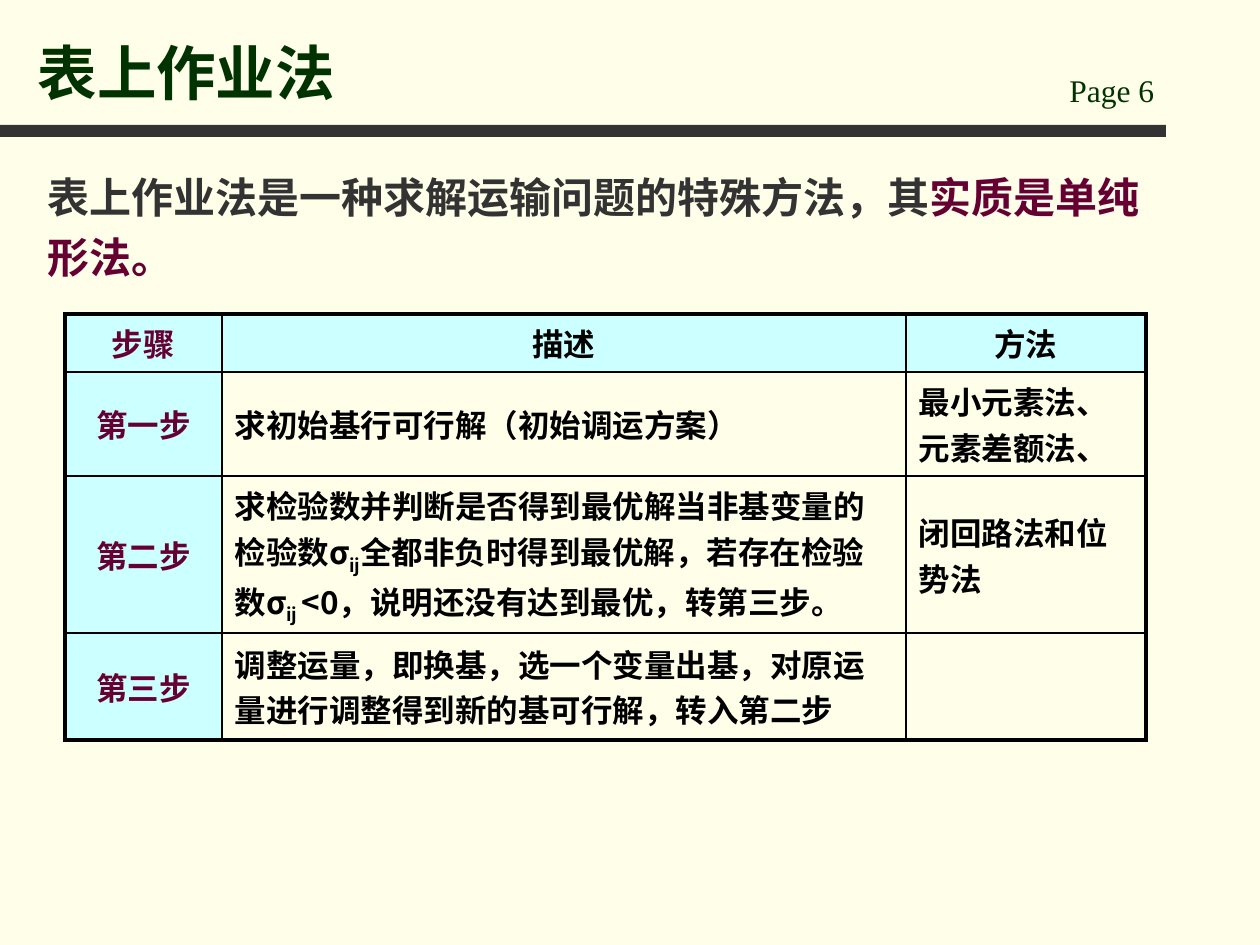
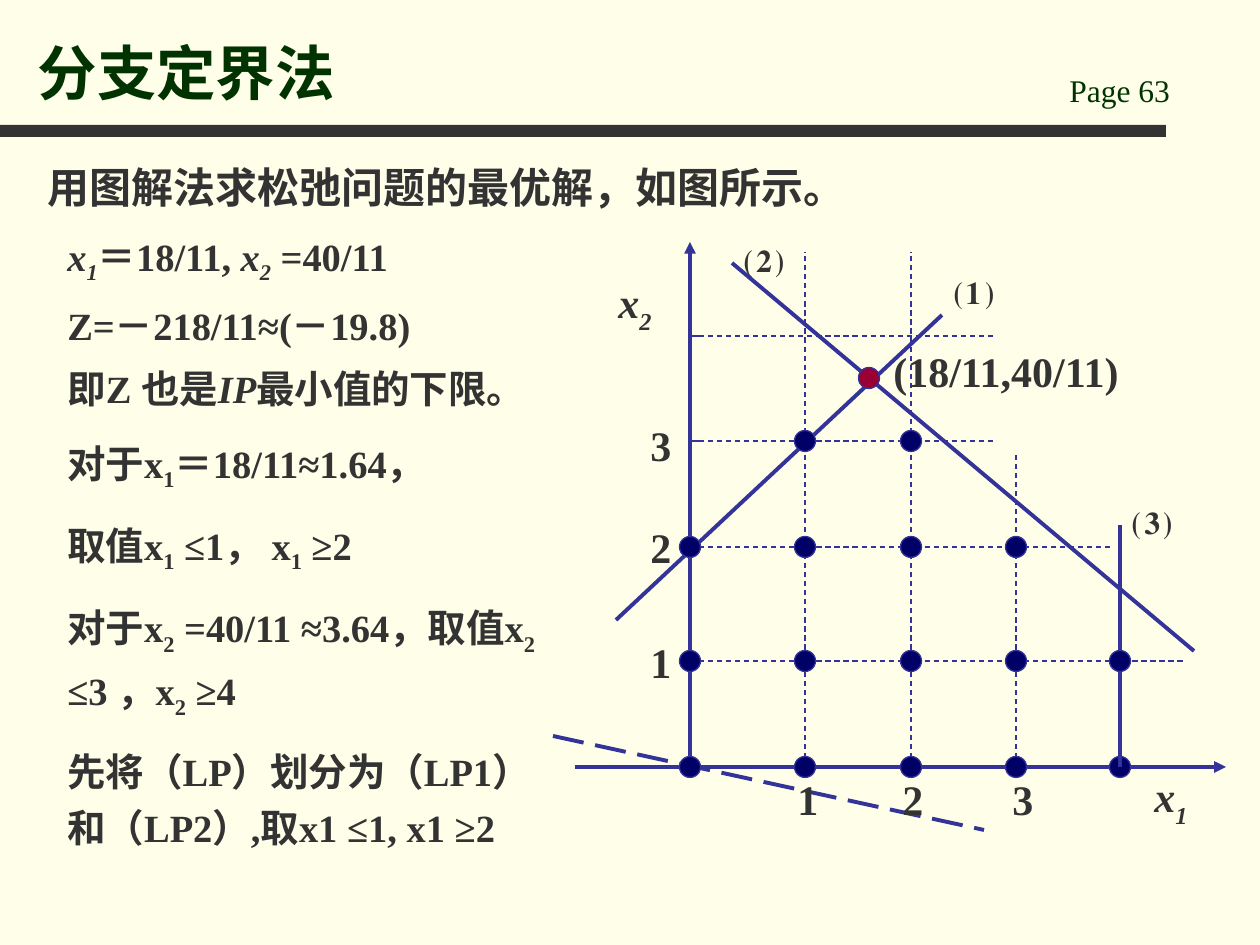
"""Build two operations-research slides: the tableau method and branch and bound."""
from lxml import etree
from pptx import Presentation
from pptx.dml.color import RGBColor
from pptx.enum.dml import MSO_LINE
from pptx.enum.shapes import MSO_CONNECTOR, MSO_SHAPE
from pptx.enum.text import MSO_ANCHOR, MSO_AUTO_SIZE, PP_ALIGN
from pptx.oxml.ns import qn
from pptx.util import Emu, Pt

SCALE = 914400 / 126
STRAIGHT = MSO_CONNECTOR.STRAIGHT
RECT, OVAL = MSO_SHAPE.RECTANGLE, MSO_SHAPE.OVAL
DASH, LONG_DASH = MSO_LINE.DASH, MSO_LINE.LONG_DASH
LEFT, CENTER = PP_ALIGN.LEFT, PP_ALIGN.CENTER
MIDDLE, BOTTOM = MSO_ANCHOR.MIDDLE, MSO_ANCHOR.BOTTOM
FIXED, GROW = MSO_AUTO_SIZE.NONE, MSO_AUTO_SIZE.SHAPE_TO_FIT_TEXT

SERIF, SANS = "Times New Roman", "Noto Sans CJK SC"
CREAM, GREEN, GRAY, WINE = "FFFFE9", "003300", "333333", "660033"
BLACK, CYAN, INDIGO, NAVY, RED = "000000", "CCFFFF", "333399", "000066", "990033"
BASELINES = {"s": "-25000", "d": "-30000"}


def px(n):
    return Emu(round(n * SCALE))


def rgb(value):
    return RGBColor.from_string(value)


class Deck:
    """Hold the shared style and the current slide."""

    def __init__(self):
        self.prs = Presentation()
        self.prs.slide_width, self.prs.slide_height = px(1260), px(945)
        fill = self.prs.slide_master.background.fill
        fill.solid()
        fill.fore_color.rgb = rgb(CREAM)
        self.s = None

    def slide(self, title, page):
        self.s = self.prs.slides.add_slide(self.prs.slide_layouts[5])
        self.shape(RECT, 0, 125, 1166, 12, GRAY)
        self.text(1057, 65, 179, 50, [[(page, "")]], 18, GREEN, bold=False)
        sp = self.s.shapes.title
        sp.left, sp.top, sp.width, sp.height = px(25), px(16), px(1012), px(98)
        tf = sp.text_frame
        tf.auto_size, tf.vertical_anchor = FIXED, BOTTOM
        self.para(tf.paragraphs[0], [(title, "")], 34, GREEN)

    def para(self, p, runs, size, color, bold=True, align=LEFT, font=SERIF, ea=SANS):
        p.alignment = align
        for text, flags, *own_color in runs:
            r = p.add_run()
            r.text = text
            r.font.name, r.font.size = font, Pt(size)
            r.font.bold, r.font.italic = bold, "i" in flags
            r.font.color.rgb = rgb(own_color[0] if own_color else color)
            rPr = r._r.get_or_add_rPr()
            rPr.find(qn("a:latin")).addnext(
                etree.Element(qn("a:ea"), typeface=ea))
            for flag, baseline in BASELINES.items():
                if flag in flags:
                    rPr.set("baseline", baseline)

    def text(self, x, y, w, h, paras, size=24, color=GRAY, bold=True,
             wrap=True, spacing=None, before=0, grow=True, ea=SANS):
        tf = self.s.shapes.add_textbox(px(x), px(y), px(w), px(h)).text_frame
        tf.word_wrap, tf.auto_size = wrap, GROW if grow else FIXED
        for i, runs in enumerate(paras):
            p = tf.add_paragraph() if i else tf.paragraphs[0]
            if spacing:
                p.line_spacing = spacing
            if i and before:
                p.space_before = Pt(before)
            self.para(p, runs, size, color, bold, ea=ea)

    def label(self, x, y, w, *runs, ea=SANS):
        self.text(x, y, w, 63, [runs], wrap=False, ea=ea)

    def shape(self, kind, x, y, w, h, fill, line=None):
        sp = self.s.shapes.add_shape(kind, px(x), px(y), px(w), px(h))
        sp.shadow.inherit = False
        sp.fill.solid()
        sp.fill.fore_color.rgb = rgb(fill)
        if line:
            sp.line.color.rgb = rgb(line)
            sp.line.width = Pt(0.75)
        else:
            sp.line.fill.background()

    def dot(self, x, y, fill=NAVY):
        self.shape(OVAL, x - 10.5, y - 10.5, 21, 21, fill, INDIGO)

    def line(self, x1, y1, x2, y2, width=2.25, dash=None, arrow=False):
        c = self.s.shapes.add_connector(STRAIGHT, px(x1), px(y1), px(x2), px(y2))
        c.line.color.rgb = rgb(INDIGO)
        c.line.width = Pt(width)
        if dash:
            c.line.dash_style = dash
        if arrow:
            etree.SubElement(c.line._get_or_add_ln(), qn("a:tailEnd"), type="triangle")
        etree.SubElement(c._element.spPr, qn("a:effectLst"))

    def border(self, cell, side, width):
        ln = etree.SubElement(cell._tc.get_or_add_tcPr(), qn("a:ln" + side),
                              w=str(Pt(width)))
        fill = etree.SubElement(ln, qn("a:solidFill"))
        etree.SubElement(fill, qn("a:srgbClr"), val=BLACK)

    def table(self, x, y, widths, heights, rows):
        last_row, last_col = len(rows) - 1, len(widths) - 1
        table = self.s.shapes.add_table(
            len(rows), len(widths), px(x), px(y),
            px(sum(widths)), px(sum(heights))).table
        table.first_row = table.horz_banding = False
        for col, width in zip(table.columns, widths):
            col.width = px(width)
        for row, height in zip(table.rows, heights):
            row.height = px(height)
        for i, row in enumerate(rows):
            for j, runs in enumerate(row):
                cell = table.cell(i, j)
                cell.vertical_anchor = MIDDLE
                outer = {"L": j == 0, "R": j == last_col,
                         "T": i == 0, "B": i == last_row}
                for side, thick in outer.items():
                    self.border(cell, side, 2.25 if thick else 1)
                header = i == 0 or j == 0
                if header:
                    cell.fill.solid()
                    cell.fill.fore_color.rgb = rgb(CYAN)
                else:
                    cell.fill.background()
                self.para(cell.text_frame.paragraphs[0], runs, 18,
                          BLACK if j else WINE,
                          align=CENTER if header else LEFT, font=SANS)


def tableau_slide(deck):
    deck.slide("表上作业法", "Page 6")
    deck.text(35, 155, 1121, 149, [[
        ("表上作业法是一种求解运输问题的特殊方法，其", ""),
        ("实质是单纯形法。", "", WINE)]], spacing=1.2, grow=False)
    optimality = [
        ("求检验数并判断是否得到最优解当非基变量的检验数σ", ""), ("ij", "s"),
        ("全都非负时得到最优解，若存在检验数σ", ""), ("ij ", "s"),
        ("<0，说明还没有达到最优，转第三步。", "")]
    deck.table(65, 314, [157, 684, 240], [58, 104, 157, 107], [
        [[("步骤", "")], [("描述", "")], [("方法", "")]],
        [[("第一步", "")], [("求初始基行可行解（初始调运方案）", "")],
         [("最小元素法、元素差额法、", "")]],
        [[("第二步", "")], optimality, [("闭回路法和位势法", "")]],
        [[("第三步", "")],
         [("调整运量，即换基，选一个变量出基，对原运量进行调整得到新的基可行解，转入第二步", "")],
         []]])


def plot(deck):
    xs = [690, 805, 911, 1016, 1120]
    ys = [767, 661, 547, 441, 336]
    deck.line(xs[0], ys[0], xs[0], 242, arrow=True)
    deck.line(575, ys[0], 1226, ys[0], arrow=True)
    for x, y in zip(xs[1:], ys[1:]):
        deck.line(xs[0], y, xs[0] + 10, y, 0.75)
        deck.line(x, ys[0], x, ys[0] - 11, 0.75)
    for y, end in zip(ys[1:], [1183, 1110, 994, 994]):
        deck.line(xs[0], y, end, y, 0.75, DASH)
    for x, end in zip(xs[1:], [252, 252, 452]):
        deck.line(x, ys[0], x, end, 0.75, DASH)
    deck.line(1194, 651, 732, 263)
    deck.line(616, 620, 942, 315)
    deck.line(553, 736, 984, 830, dash=LONG_DASH)

    for i, (y, cols) in enumerate(zip(ys, [xs, xs, xs[:4], xs[1:3]])):
        for x in cols:
            deck.dot(x, y)
        if i == 0:
            deck.line(xs[4], ys[0], xs[4], 525)
    deck.dot(869, 378, RED)

    deck.label(1142, 764, 60, ("x", "i"), ("1", "id"))
    deck.label(606, 270, 60, ("x", "i"), ("2", "id"))
    for x, y, mark in [(942, 256, "⑴"), (732, 224, "⑵"), (1120, 486, "⑶")]:
        deck.label(x, y, 67, (mark, ""), ea=SERIF)
    deck.label(881, 339, 255, ("(18/11,40/11)", ""))
    for n, (x, y) in enumerate([(785, 630), (890, 515), (1000, 413)], 1):
        deck.label(x, 767, 47, (str(n), ""))
        deck.label(638, y, 47, (str(n), ""))


def branch_slide(deck):
    deck.slide("分支定界法", "Page 63")
    deck.text(35, 155, 1121, 69, [[("用图解法求松弛问题的最优解，如图所示。", "")]],
              grow=False)
    plot(deck)
    deck.text(55, 216, 630, 197, [
        [("x", "i"), ("1", "is"), ("＝18/11, ", ""),
         ("x", "i"), ("2", "is"), (" =40/11", "")],
        [("Z=－218/11≈(－19.8)", "")],
        [("即Z 也是", ""), ("IP", "i"), ("最小值的下限。", "")],
    ], 22, spacing=1.2, before=4.4)
    deck.text(55, 423, 517, 415, [
        [("对于x", ""), ("1", "s"), ("＝18/11≈1.64，", "")],
        [("取值x", ""), ("1", "s"), (" ≤1， x", ""), ("1", "s"), (" ≥2", "")],
        [("对于x", ""), ("2", "s"), (" =40/11 ≈3.64，取值x", ""), ("2", "s"),
         (" ≤3 ，x", ""), ("2", "s"), (" ≥4", "")],
        [("先将（LP）划分为（LP1）和（LP2）,取x1 ≤1, x1 ≥2", "")],
    ], 22, spacing=1.2, before=11)


def main():
    deck = Deck()
    tableau_slide(deck)
    branch_slide(deck)
    deck.prs.save("out.pptx")


if __name__ == "__main__":
    main()
